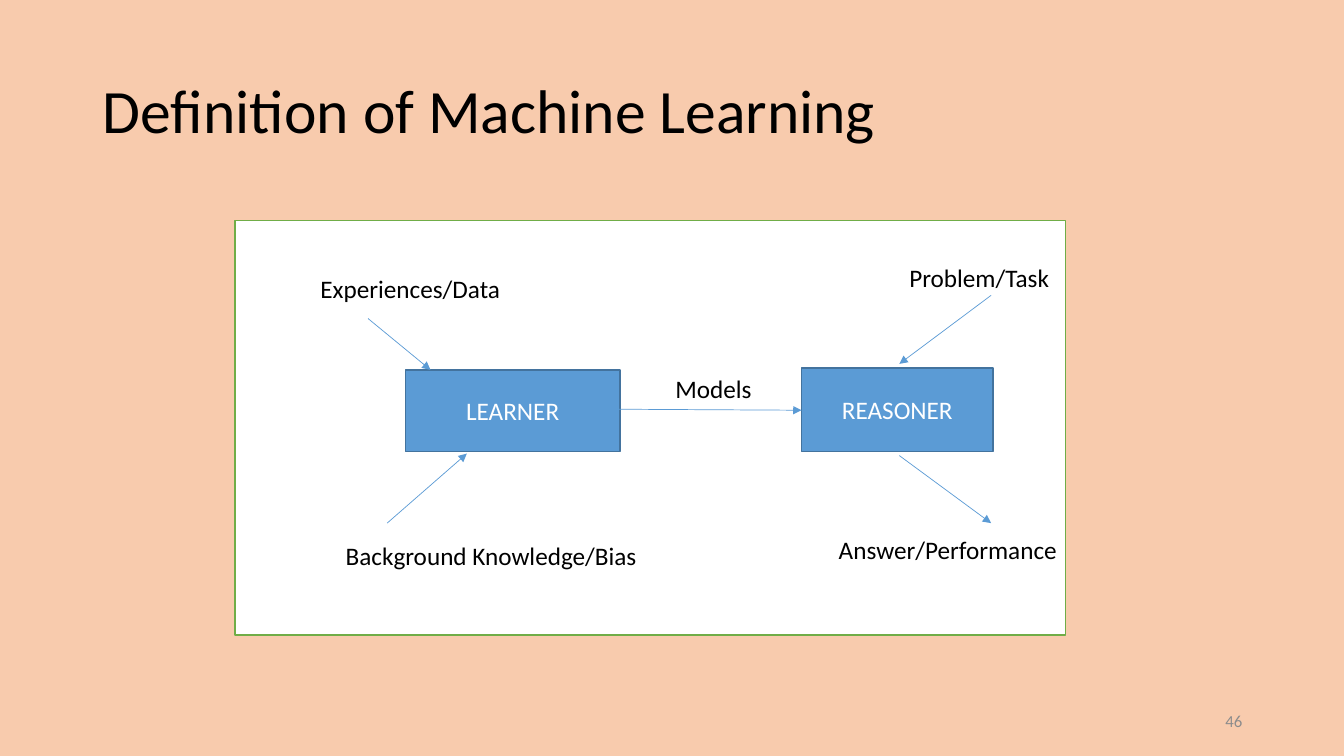
import pptx
import pptx.util
import pptx.dml.color
import pptx.enum.shapes
import pptx.enum.text
import lxml.etree
import pptx.oxml.ns

EMU_PER_PX = 9144
SLIDE_SIZE = (1333, 750)
FONT = "Calibri"
COLORS = {
    "background": "F8CBAD",
    "panel": "FFFFFF",
    "panel_line": "70AD47",
    "box": "5B9BD5",
    "box_line": "43739E",
    "text": "000000",
    "box_text": "FFFFFF",
    "number": "8C8C8C",
}

TITLE = ("Definition of Machine Learning", (92, 40, 1150, 145))
NUMBER = ("46", (942, 695, 300, 40))
PANEL = (233, 219, 824, 411)
BOXES = [
    ("LEARNER", (402, 367, 213, 81)),
    ("REASONER", (795, 365, 190, 83)),
]
LABELS = [
    ("Experiences/Data", (308, 266, 200, 40)),
    ("Background Knowledge/Bias", (333, 531, 312, 40)),
    ("Models", (660, 365, 97, 40)),
    ("Problem/Task", (892, 255, 160, 40)),
    ("Answer/Performance", (822, 525, 239, 40)),
]
ARROWS = [
    (365, 316, 427, 367),
    (384, 519, 463, 450),
    (614, 406, 795, 407),
    (983, 293, 892, 361),
    (892, 452, 983, 519),
]

ALIGN = pptx.enum.text.PP_ALIGN
ANCHOR = pptx.enum.text.MSO_ANCHOR


def scaled(lengths):
    return [pptx.util.Emu(length * EMU_PER_PX) for length in lengths]


def color(name):
    return pptx.dml.color.RGBColor.from_string(COLORS[name])


def write(shape, text, size=18, fill="text", align=ALIGN.LEFT,
          anchor=ANCHOR.MIDDLE, wrap=True, spacing=None):
    frame = shape.text_frame
    frame.word_wrap = wrap
    frame.vertical_anchor = anchor
    para = frame.paragraphs[0]
    para.alignment = align
    para.line_spacing = spacing
    span = para.add_run()
    span.text = text
    span.font.name = FONT
    span.font.size = pptx.util.Pt(size)
    span.font.color.rgb = color(fill)


def add_rectangle(page, area, fill, line):
    shape = page.shapes.add_shape(
        pptx.enum.shapes.MSO_SHAPE.RECTANGLE, *scaled(area))
    shape.shadow.inherit = False
    shape.fill.solid()
    shape.fill.fore_color.rgb = color(fill)
    shape.line.color.rgb = color(line)
    shape.line.width = pptx.util.Pt(1)
    return shape


def add_arrow(page, ends):
    arrow = page.shapes.add_connector(
        pptx.enum.shapes.MSO_CONNECTOR.STRAIGHT, *scaled(ends))
    arrow.line.color.rgb = color("box")
    arrow.line.width = pptx.util.Pt(0.5)
    qn = pptx.oxml.ns.qn
    lxml.etree.SubElement(arrow.line._get_or_add_ln(), qn("a:tailEnd"), type="triangle")
    lxml.etree.SubElement(arrow._element.spPr, qn("a:effectLst"))


def main():
    deck = pptx.Presentation()
    deck.slide_width, deck.slide_height = scaled(SLIDE_SIZE)
    page = deck.slides.add_slide(deck.slide_layouts[5])
    page.background.fill.solid()
    page.background.fill.fore_color.rgb = color("background")

    text, area = TITLE
    title = page.shapes.title
    title.left, title.top, title.width, title.height = scaled(area)
    write(title, text, size=44, spacing=0.9)

    text, area = NUMBER
    write(page.shapes.add_textbox(*scaled(area)), text,
          size=12, fill="number", align=ALIGN.RIGHT)

    add_rectangle(page, PANEL, "panel", "panel_line")
    for text, area in BOXES:
        box = add_rectangle(page, area, "box", "box_line")
        write(box, text, fill="box_text", align=ALIGN.CENTER)
    for ends in ARROWS:
        add_arrow(page, ends)
    for text, area in LABELS:
        label = page.shapes.add_textbox(*scaled(area))
        write(label, text, anchor=ANCHOR.TOP, wrap=False)
        label.text_frame.auto_size = pptx.enum.text.MSO_AUTO_SIZE.SHAPE_TO_FIT_TEXT

    deck.save("out.pptx")


if __name__ == "__main__":
    main()
